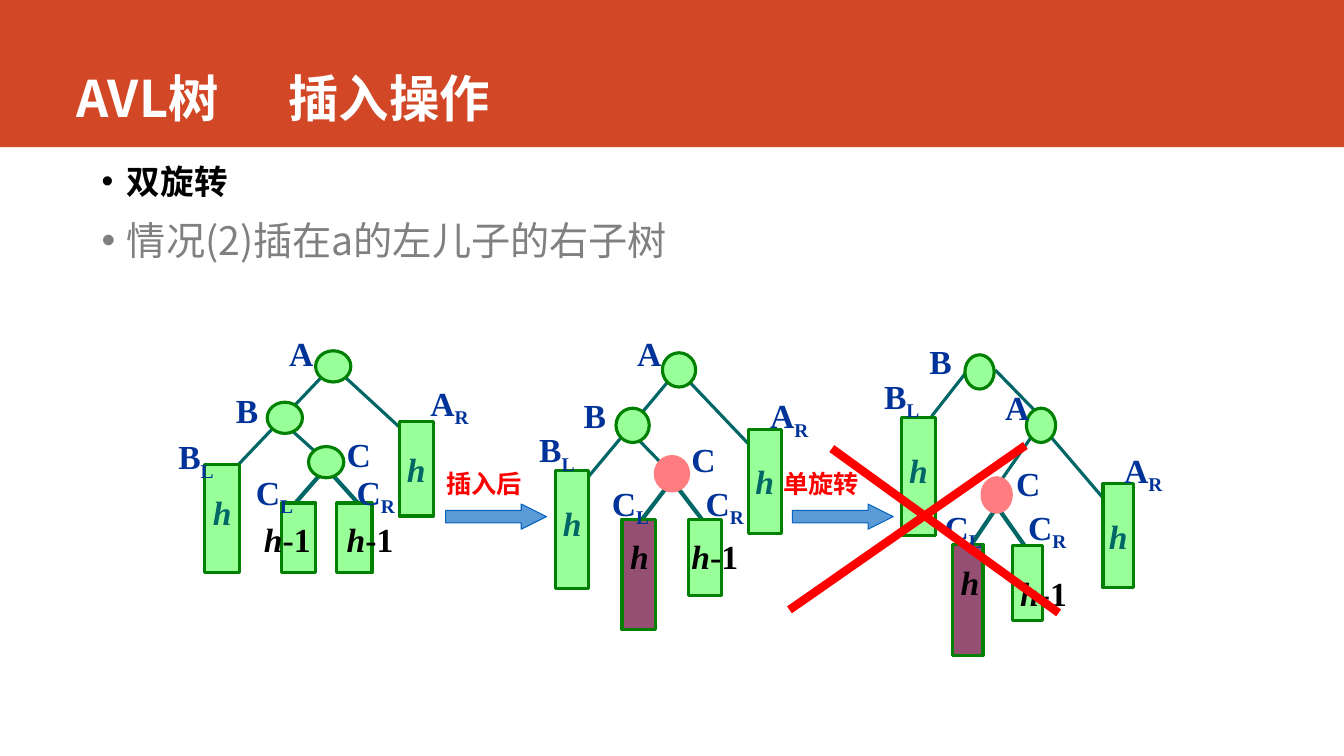
from dataclasses import dataclass
from lxml import etree
from pptx import Presentation
from pptx import util as u
from pptx.dml.color import RGBColor
from pptx.enum import shapes, text
from pptx.oxml import ns


@dataclass(frozen=True)
class Theme:
    banner: str = "D24726"
    white: str = "FFFFFF"
    black: str = "000000"
    gray: str = "808080"
    label: str = "003399"
    edge: str = "006666"
    green: str = "99FF99"
    outline: str = "008000"
    purple: str = "954F72"
    pink: str = "FF7C80"
    arrow: str = "5B9BD5"
    arrow_line: str = "0563C1"
    red: str = "FF0000"
    sans: str = "Noto Sans CJK SC"
    serif: str = "Times New Roman"
    caption_font: str = "Cabin"
    title_size: int = 36
    case_size: int = 28
    body_size: int = 24
    caption_size: int = 18


theme = Theme()


def add_run(paragraph, words, size, color, font, bold=True, italic=False, subscript=False):
    run = paragraph.add_run()
    run.text = words
    run.font.size = u.Pt(size)
    run.font.bold = bold
    run.font.italic = italic
    run.font.color.rgb = RGBColor.from_string(color)
    run.font.name = font
    properties = run.font._element
    etree.SubElement(properties, ns.qn("a:ea")).set("typeface", theme.sans)
    if subscript:
        properties.set("baseline", "-25000")


def add_outlined(parent, kind, box, fill, line, weight=2.25):
    shape = parent.add_shape(kind, *map(u.Inches, box))
    shape.shadow.inherit = False
    shape.fill.solid()
    shape.fill.fore_color.rgb = RGBColor.from_string(fill)
    shape.line.color.rgb = RGBColor.from_string(line)
    shape.line.width = u.Pt(weight)
    return shape


label_widths = {"A": 0.44, "B": 0.42, "C": 0.44, "BL": 0.57, "AR": 0.6,
                "CL": 0.59, "CR": 0.6, "h": 0.39, "h-1": 0.67}

trees = [
    {
        "edges": [(3.41, 3.73, 4.03, 4.3), (3.2, 3.73, 2.24, 4.74), (2.86, 4.24, 3.27, 4.61)],
        "leaf_edges": [(3.27, 4.68, 3.55, 4.99), (3.2, 4.68, 2.93, 4.99)],
        "subtrees": [(3.96, 4.18, 0.34, 0.94, 1), (2.03, 4.61, 0.35, 1.07, 0.6)],
        "leaves": [(2.79, 4.99, 0.34, 0.69, theme.green), (3.34, 4.99, 0.35, 0.69, theme.green)],
        "node_size": (0.35, 0.31),
        "nodes": [(2.65, 3.99), (3.13, 3.48)],
        "c_node": (3.06, 4.43, theme.green, theme.outline),
        "labels": [("AR", 4.17, 3.75), ("A", 2.77, 3.25), ("C", 3.34, 4.26),
                   ("BL", 1.67, 4.28), ("h-1", 3.34, 5.1), ("h-1", 2.52, 5.1),
                   ("B", 2.24, 3.82), ("CL", 2.44, 4.63), ("CR", 3.44, 4.63)],
    },
    {
        "edges": [(6.83, 3.78, 7.42, 4.4), (6.63, 3.78, 5.71, 4.88), (6.3, 4.33, 6.7, 4.74)],
        "leaf_edges": [(6.63, 4.81, 6.37, 5.15), (6.7, 4.81, 6.96, 5.15)],
        "subtrees": [(7.42, 4.26, 0.33, 1.03, 1), (5.51, 4.67, 0.33, 1.17, 0.6)],
        "leaves": [(6.17, 5.15, 0.33, 1.1, theme.purple), (6.83, 5.15, 0.33, 0.76, theme.green)],
        "node_size": (0.33, 0.34),
        "nodes": [(6.11, 4.05), (6.57, 3.5)],
        "c_node": (6.5, 4.53, theme.pink, theme.pink),
        "labels": [("A", 6.22, 3.25), ("h-1", 6.76, 5.27), ("h", 6.15, 5.27),
                   ("AR", 7.54, 3.87), ("C", 6.76, 4.31), ("BL", 5.25, 4.21),
                   ("B", 5.69, 3.87), ("CL", 5.97, 4.74), ("CR", 6.9, 4.74)],
    },
    {
        "edges": [(9.87, 3.67, 10.27, 4.08), (9.57, 3.71, 9.24, 4.13),
                  (10.41, 4.32, 10.94, 4.94), (10.24, 4.32, 9.94, 4.75)],
        "leaf_edges": [(9.86, 5.07, 9.63, 5.41), (9.92, 5.07, 10.16, 5.41)],
        "subtrees": [(8.94, 4.14, 0.34, 1.17, 0.6), (10.94, 4.8, 0.3, 1.03, 1)],
        "leaves": [(9.45, 5.4, 0.3, 1.1, theme.purple), (10.04, 5.41, 0.3, 0.75, theme.green)],
        "node_size": (0.29, 0.34),
        "nodes": [(9.57, 3.52), (10.18, 4.05)],
        "c_node": (9.74, 4.74, theme.pink, theme.pink),
        "labels": [("BL", 8.67, 3.68), ("B", 9.12, 3.33), ("A", 9.87, 3.79),
                   ("AR", 11.05, 4.41), ("h", 9.43, 5.53), ("C", 9.98, 4.54),
                   ("CL", 9.27, 4.98), ("CR", 10.1, 4.98), ("h-1", 10.02, 5.63)],
    },
]

presentation = Presentation()
presentation.slide_width = u.Inches(13.33)
presentation.slide_height = u.Inches(7.5)
slide = presentation.slides.add_slide(presentation.slide_layouts[5])
canvas = slide.shapes

banner = add_outlined(canvas, shapes.MSO_SHAPE.RECTANGLE, (0, 0, 13.33, 1.46), theme.banner, theme.banner)
banner.line.fill.background()
canvas._spTree.insert(2, banner._element)

title = canvas.title
title.left, title.top, title.width, title.height = map(u.Inches, (0.66, 0, 11.76, 1.32))
title.text_frame.vertical_anchor = text.MSO_ANCHOR.BOTTOM
paragraph = title.text_frame.paragraphs[0]
paragraph.alignment = text.PP_ALIGN.LEFT
tabs = etree.SubElement(paragraph._p.get_or_add_pPr(), ns.qn("a:tabLst"))
etree.SubElement(tabs, ns.qn("a:tab"), pos=str(u.Inches(2.1)), algn="l")
add_run(paragraph, "AVL树\t插入操作", theme.title_size, theme.white, theme.sans)

body = canvas.add_textbox(*map(u.Inches, (0.91, 1.64, 12.42, 4.76))).text_frame
body.word_wrap = True
body.margin_top = 0
bullets = [("双旋转", theme.body_size, theme.black, True),
           ("情况(2)插在a的左儿子的右子树", theme.case_size, theme.gray, False)]
for index, (words, size, color, bold) in enumerate(bullets):
    paragraph = body.add_paragraph() if index else body.paragraphs[0]
    paragraph.line_spacing = 0.9
    paragraph.space_after = u.Pt(14)
    properties = paragraph._p.get_or_add_pPr()
    properties.set("marL", str(u.Inches(0.25)))
    properties.set("indent", str(-u.Inches(0.25)))
    etree.SubElement(properties, ns.qn("a:buFont"), typeface="Arial")
    etree.SubElement(properties, ns.qn("a:buChar"), char="•")
    add_run(paragraph, words, size, color, theme.sans, bold)

lines = []
for tree in trees:
    group = canvas.add_group_shape().shapes
    for name, weight in (("edges", 2.25), ("leaf_edges", 3)):
        for ends in tree[name]:
            edge = group.add_connector(shapes.MSO_CONNECTOR.STRAIGHT, *map(u.Inches, ends))
            lines.append((edge, theme.edge, weight))
    for *box, spacing in tree["subtrees"]:
        subtree = add_outlined(group, shapes.MSO_SHAPE.RECTANGLE, box, theme.green, theme.outline)
        subtree.text_frame.word_wrap = False
        subtree.text_frame.vertical_anchor = text.MSO_ANCHOR.MIDDLE
        paragraph = subtree.text_frame.paragraphs[0]
        paragraph.alignment = text.PP_ALIGN.CENTER
        paragraph.line_spacing = float(spacing)
        add_run(paragraph, "h", theme.body_size, theme.edge, theme.serif, italic=True)
    for *box, fill in tree["leaves"]:
        add_outlined(group, shapes.MSO_SHAPE.RECTANGLE, box, fill, theme.outline)
    nodes = [(left, top, theme.green, theme.outline) for left, top in tree["nodes"]]
    for left, top, fill, line in nodes + [tree["c_node"]]:
        add_outlined(group, shapes.MSO_SHAPE.OVAL, (left, top, *tree["node_size"]), fill, line)
    for name, left, top in tree["labels"]:
        label = group.add_textbox(*map(u.Inches, (left, top, label_widths[name], 0.5)))
        label.text_frame.word_wrap = False
        paragraph = label.text_frame.paragraphs[0]
        is_height = name.startswith("h")
        color = theme.black if is_height else theme.label
        add_run(paragraph, name[0], theme.body_size, color, theme.serif, italic=is_height)
        if name[1:]:
            add_run(paragraph, name[1:], theme.body_size, color, theme.serif, subscript=not is_height)

for words, arrow_left, caption_left in (("插入后", 4.42, 4.33), ("单旋转", 7.86, 7.67)):
    group = canvas.add_group_shape().shapes
    arrow = add_outlined(group, shapes.MSO_SHAPE.RIGHT_ARROW, (arrow_left, 5, 1, 0.25),
                         theme.arrow, theme.arrow_line, 0.75)
    arrow.adjustments[0] = 0.5
    arrow.adjustments[1] = 1
    caption = group.add_textbox(*map(u.Inches, (caption_left, 4.6, 1.25, 0.4)))
    caption.text_frame.word_wrap = True
    add_run(caption.text_frame.paragraphs[0], words, theme.caption_size, theme.red, theme.caption_font)

cross = canvas.add_group_shape().shapes
for ends in ((10.17, 4.42, 7.83, 6.05), (8.25, 4.45, 10.5, 6.08)):
    stroke = cross.add_connector(shapes.MSO_CONNECTOR.STRAIGHT, *map(u.Inches, ends))
    lines.append((stroke, theme.red, 6))

for connector, color, weight in lines:
    connector.line.color.rgb = RGBColor.from_string(color)
    connector.line.width = u.Pt(weight)
    etree.SubElement(connector._element.spPr, ns.qn("a:effectLst"))

presentation.save("out.pptx")
